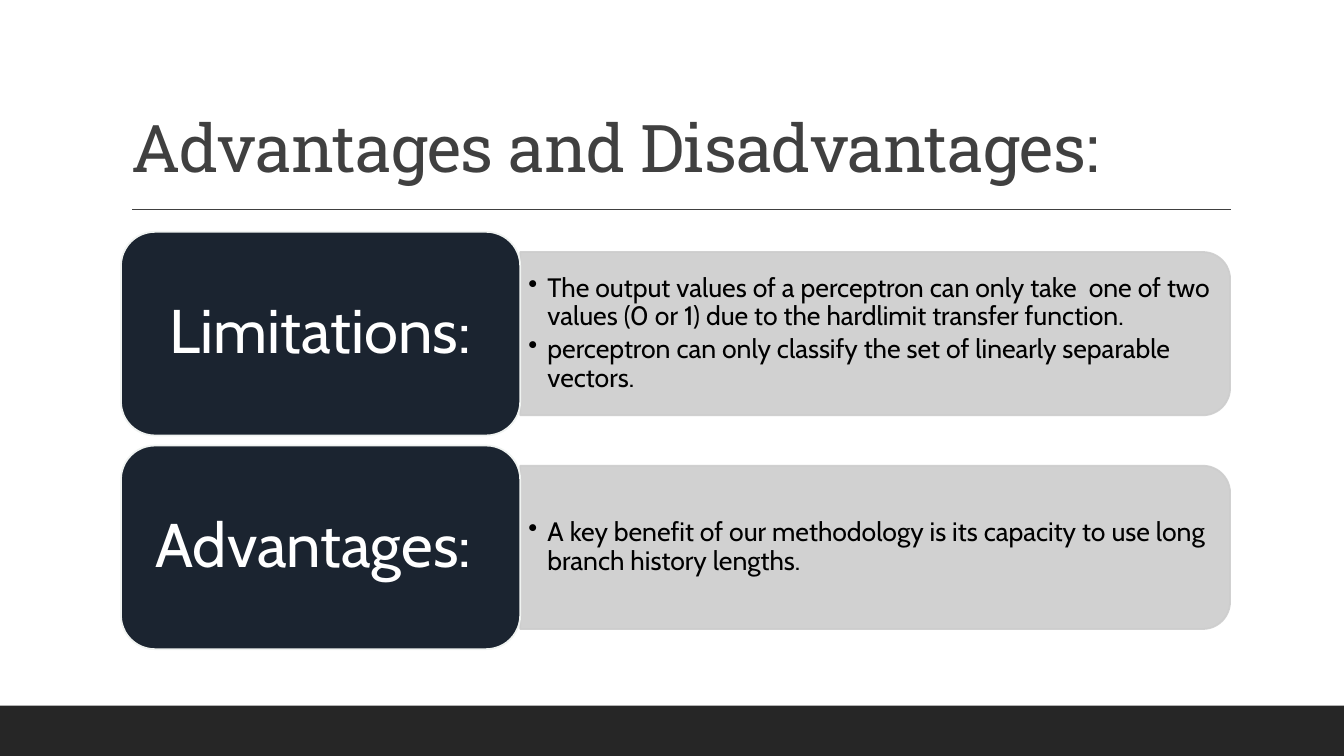
from dataclasses import dataclass

from lxml import etree
from pptx import Presentation
from pptx import util as u
from pptx.dml.color import RGBColor
from pptx.enum import shapes, text
from pptx.oxml.ns import qn


@dataclass(frozen=True)
class Theme:
    """Colours, fonts and type sizes of the slide."""
    ink: str = "404040"
    footer: str = "262626"
    label_fill: str = "1B2430"
    label_line: str = "F0F3F1"
    panel: str = "CDCDCD"
    body_ink: str = "000000"
    label_ink: str = "FFFFFF"
    heading_font: str = "Roboto Slab"
    body_font: str = "Cabin"
    title_size: float = 47
    label_size: float = 44
    body_size: float = 19


THEME = Theme()

LEFT, LABEL_WIDTH, LABEL_HEIGHT = 1.2, 3.96, 2.02
PANEL_WIDTH, PANEL_HEIGHT = 7.04, 1.62
FIRST_TOP, ROW_STEP = 2.3, 2.12
ROWS = [
    ("Limitations:", [
        "The output values of a perceptron can only take  one of two values "
        "(0 or 1) due to the hardlimit transfer function. ",
        "perceptron can only classify the set of linearly separable vectors.",
    ]),
    ("Advantages: ", [
        "A key benefit of our methodology is its capacity to use long "
        "branch history lengths.",
    ]),
]


def inches(*values):
    """Convert several lengths to Inches."""
    return [u.Inches(value) for value in values]


def add_run(paragraph, words, font, size, color):
    """Add one formatted run and return it."""
    paragraph.line_spacing = 0.9
    run = paragraph.add_run()
    run.text = words
    run.font.name = font
    run.font.size = u.Pt(size)
    run.font.color.rgb = RGBColor.from_string(color)
    return run


def set_frame(frame, horizontal, vertical):
    """Wrap and centre a text frame vertically, with the given insets."""
    frame.word_wrap = True
    frame.vertical_anchor = text.MSO_ANCHOR.MIDDLE
    frame.margin_left = frame.margin_right = u.Inches(horizontal)
    frame.margin_top = frame.margin_bottom = u.Inches(vertical)


def add_block(slide, kind, box, fill, line=None):
    """Add a filled preset shape, with an outline if a line colour is given."""
    shape = slide.shapes.add_shape(kind, *inches(*box))
    shape.shadow.inherit = False
    shape.fill.solid()
    shape.fill.fore_color.rgb = RGBColor.from_string(fill)
    if line:
        shape.line.color.rgb = RGBColor.from_string(line)
        shape.line.width = u.Pt(1.25)
    else:
        shape.line.fill.background()
    return shape


def add_title(slide, words):
    """Place and fill the title placeholder."""
    title = slide.shapes.title
    title.left, title.top, title.width, title.height = inches(1.2, 0.31, 11, 1.59)
    frame = title.text_frame
    frame.word_wrap = True
    frame.vertical_anchor = text.MSO_ANCHOR.BOTTOM
    paragraph = frame.paragraphs[0]
    paragraph.alignment = text.PP_ALIGN.LEFT
    run = add_run(paragraph, words, THEME.heading_font, THEME.title_size, THEME.ink)
    run.font._element.set("spc", "-50")


def add_rule(slide, left, right, top):
    """Add the thin horizontal rule below the title."""
    rule = slide.shapes.add_connector(
        shapes.MSO_CONNECTOR.STRAIGHT, *inches(left, top, right, top))
    rule.line.color.rgb = RGBColor.from_string(THEME.ink)
    rule.line.width = u.Pt(1)
    etree.SubElement(rule._element.spPr, qn("a:effectLst"))


def add_panel(slide, left, middle):
    """Add a grey panel, turned so that its rounded corners face right."""
    box = (left + (PANEL_WIDTH - PANEL_HEIGHT) / 2, middle - PANEL_WIDTH / 2,
           PANEL_HEIGHT, PANEL_WIDTH)
    panel = add_block(slide, shapes.MSO_SHAPE.ROUND_2_SAME_RECTANGLE, box,
                      THEME.panel, THEME.panel)
    panel.rotation = 90
    for color in panel._element.spPr.iter(qn("a:srgbClr")):
        etree.SubElement(color, qn("a:alpha"), val="90000")


def add_bullets(slide, left, middle, items):
    """Add a bulleted list centred on the given height."""
    height = 1.46
    box = slide.shapes.add_textbox(
        *inches(left, middle - height / 2, 6.96, height))
    frame = box.text_frame
    set_frame(frame, 0.08, 0.04)
    for index, item in enumerate(items):
        paragraph = frame.add_paragraph() if index else frame.paragraphs[0]
        add_run(paragraph, item, THEME.body_font, THEME.body_size, THEME.body_ink)
        paragraph.space_after = u.Pt(3)
        properties = paragraph._p.get_or_add_pPr()
        indent = u.Inches(0.19)
        properties.set("marL", str(indent))
        properties.set("indent", str(-indent))
        etree.SubElement(properties, qn("a:buChar"), char="\u2022")


def add_label(slide, top, words):
    """Add a dark rounded label with large centred text."""
    label = add_block(slide, shapes.MSO_SHAPE.ROUNDED_RECTANGLE,
                      (LEFT, top, LABEL_WIDTH, LABEL_HEIGHT),
                      THEME.label_fill, THEME.label_line)
    set_frame(label.text_frame, 0.18, 0.09)
    paragraph = label.text_frame.paragraphs[0]
    paragraph.alignment = text.PP_ALIGN.CENTER
    add_run(paragraph, words, THEME.body_font, THEME.label_size, THEME.label_ink)


def add_row(slide, top, label, items):
    """Add one label with its panel and bullets."""
    panel_left = LEFT + LABEL_WIDTH
    middle = top + LABEL_HEIGHT / 2
    add_panel(slide, panel_left, middle)
    add_bullets(slide, panel_left, middle, items)
    add_label(slide, top, label)


def main():
    """Build and save the slide."""
    presentation = Presentation()
    presentation.slide_width, presentation.slide_height = inches(13.33, 7.5)
    slide = presentation.slides.add_slide(presentation.slide_layouts[5])
    add_title(slide, "Advantages and Disadvantages:")
    add_rule(slide, 1.31, 12.21, 2.08)
    add_block(slide, shapes.MSO_SHAPE.RECTANGLE, (0, 7, 13.33, 0.5), THEME.footer)
    for index, (label, items) in enumerate(ROWS):
        add_row(slide, FIRST_TOP + index * ROW_STEP, label, items)
    presentation.save("out.pptx")


main()
